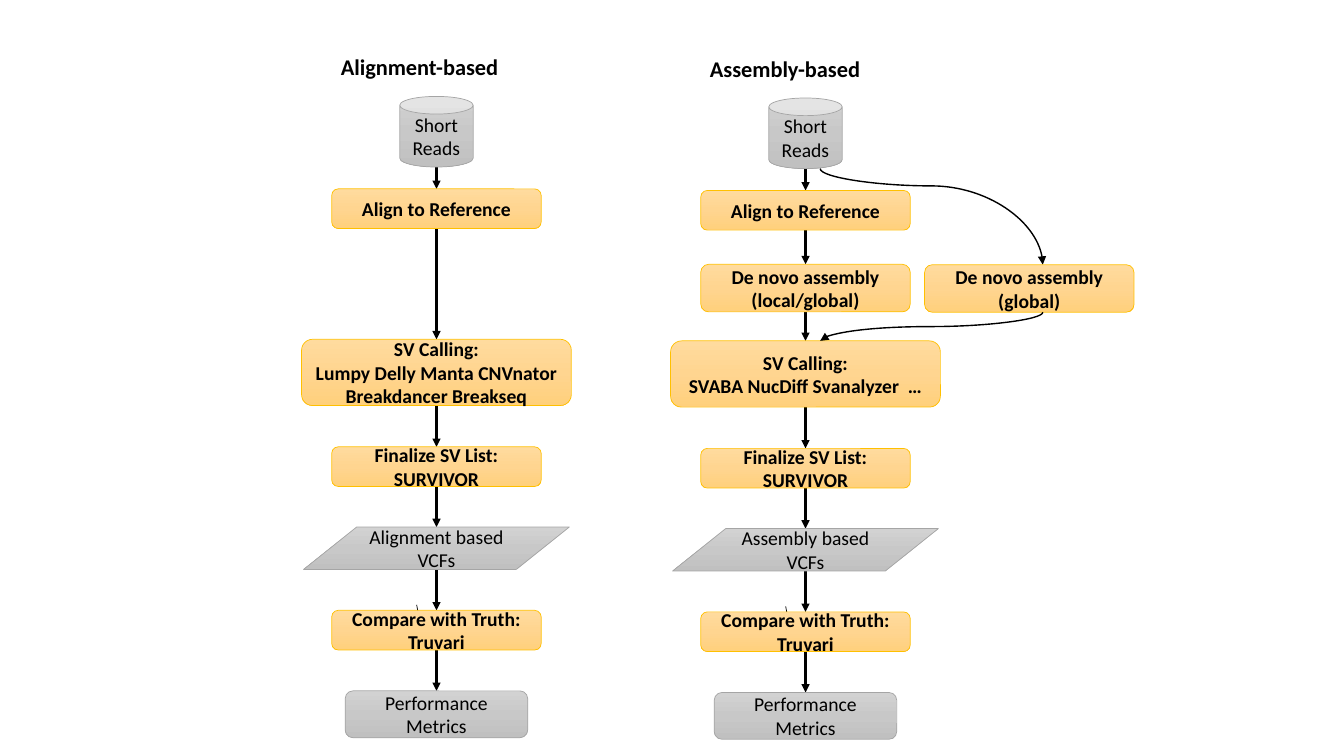
"""Builds a slide with two structural variant calling workflows side by side."""
from copy import deepcopy

from pptx import Presentation
from pptx.dml.color import RGBColor
from pptx.enum.shapes import MSO_CONNECTOR as LINE, MSO_SHAPE as SHAPE
from pptx.enum.text import MSO_ANCHOR, PP_ALIGN
from pptx.oxml.ns import qn
from pptx.oxml.xmlchemy import OxmlElement
from pptx.util import Cm, Pt

BLACK = RGBColor(0x00, 0x00, 0x00)
GREY_EDGE = RGBColor(0xA5, 0xA5, 0xA5)
GOLD_EDGE = RGBColor(0xFF, 0xC0, 0x00)
GREYS = [RGBColor(0xD2, 0xD2, 0xD2), RGBColor(0xC8, 0xC8, 0xC8), RGBColor(0xC0, 0xC0, 0xC0)]
GOLDS = [RGBColor(0xFF, 0xDB, 0x9E), RGBColor(0xFF, 0xD5, 0x90), RGBColor(0xFF, 0xD0, 0x7C)]

STEP_W, STEP_H = 5.28, 1.0
ALIGN_X, ASSEMBLY_X, GLOBAL_X = 11.0, 20.3, 25.94
ASSEMBLY_SHIFT = 0.04
CURVE_LEFT, CURVE_RIGHT = 20.67, 26.28


class Flow:
    font = "Calibri"

    def __init__(self, prs):
        self.slide = prs.slides.add_slide(prs.slide_layouts[6])
        self.shapes = self.slide.shapes

    def label(self, tf, text, size, bold, align):
        tf.text = text
        for p in tf.paragraphs:
            p.alignment = align
            p.font.name, p.font.size = self.font, Pt(size)
            p.font.bold, p.font.color.rgb = bold, BLACK

    def heading(self, x, y, w, text):
        tf = self.shapes.add_textbox(Cm(x), Cm(y), Cm(w), Cm(0.94)).text_frame
        tf.word_wrap = False
        self.label(tf, text, 16, True, PP_ALIGN.LEFT)

    def box(self, kind, cx, y, w, h, text):
        sp = self.shapes.add_shape(kind, Cm(cx - w / 2), Cm(y), Cm(w), Cm(h))
        is_step = kind == SHAPE.ROUNDED_RECTANGLE
        sp.shadow.inherit = False
        sp.fill.gradient()
        sp.fill.gradient_angle = 270
        stops = sp._element.spPr.find(".//" + qn("a:gsLst"))
        stops.insert(1, deepcopy(stops[0]))
        for i, stop in enumerate(sp.fill.gradient_stops):
            stop.position = i / 2
            stop.color.rgb = (GOLDS if is_step else GREYS)[i]
        sp.line.color.rgb = GOLD_EDGE if is_step else GREY_EDGE
        sp.line.width = Pt(0.5)
        sp.text_frame.vertical_anchor = MSO_ANCHOR.MIDDLE
        self.label(sp.text_frame, text, 14, is_step, PP_ALIGN.CENTER)

    def arrow(self, x1, y1, x2, y2, width=1.5, kind=LINE.STRAIGHT):
        c = self.shapes.add_connector(kind, Cm(x1), Cm(y1), Cm(x2), Cm(y2))
        c.line.color.rgb, c.line.width = BLACK, Pt(width)
        tail = OxmlElement("a:tailEnd")
        tail.set("type", "triangle")
        spPr = c._element.spPr
        spPr.find(qn("a:ln")).append(tail)
        spPr.append(OxmlElement("a:effectLst"))
        return c

    def curve(self, x1, y1, x2, y2, bend):
        w, h = y2 - y1, abs(x2 - x1)
        left, top = (x1 + x2 - w) / 2, (y1 + y2 - h) / 2
        ends, turn = (left, left + w), 90
        if x2 > x1:
            ends, turn = ends[::-1], 270
        c = self.arrow(ends[0], top, ends[1], top + h, 1, LINE.CURVE)
        spPr = c._element.spPr
        spPr.find(qn("a:xfrm")).set("rot", str(turn * 60000))
        geom = spPr.find(qn("a:prstGeom"))
        av = geom.find(qn("a:avLst"))
        if av is None:
            av = OxmlElement("a:avLst")
            geom.append(av)
        gd = OxmlElement("a:gd")
        gd.set("name", "adj1")
        gd.set("fmla", f"val {round(bend * 100000)}")
        av.append(gd)

    def column(self, cx, dy, title, title_w, stages):
        self.heading(cx - 2.66, 1.22 + dy, title_w, title)
        self.arrow(cx - 0.5, 15.24 + dy, cx - 0.32, 16.2 + dy, 0.5)
        for (_, y, _, h, _), (_, end, *_) in zip(stages, stages[1:]):
            self.arrow(cx, y + h + dy, cx, end + dy)
        for kind, y, w, h, text in stages:
            self.box(kind, cx, y + dy, w, h, text)


def step(y, text, w=STEP_W, h=STEP_H):
    return SHAPE.ROUNDED_RECTANGLE, y, w, h, text


def stages(callers, source, extra=()):
    return [
        (SHAPE.CAN, 2.43, 1.85, 1.78, "Short Reads"),
        step(4.76, "Align to Reference"),
        *extra,
        step(8.55, "SV Calling:\n" + callers, 6.8, 1.67),
        step(11.26, "Finalize SV List:\nSURVIVOR"),
        (SHAPE.FLOWCHART_DATA, 13.28, 6.7, 1.07, f"{source} based VCFs"),
        step(15.38, "Compare with Truth:\nTruvari"),
        (SHAPE.FLOWCHART_ALTERNATE_PROCESS, 17.41, 4.6, 1.18, "Performance Metrics"),
    ]


prs = Presentation()
prs.slide_width, prs.slide_height = Cm(33.87), Cm(19.05)
flow = Flow(prs)
flow.column(ALIGN_X, 0, "Alignment-based", 4.55,
            stages("Lumpy Delly Manta CNVnator Breakdancer Breakseq", "Alignment"))
assembly = step(6.62, "De novo assembly\n(local/global)", h=1.2)
flow.column(ASSEMBLY_X, ASSEMBLY_SHIFT, "Assembly-based", 4.37,
            stages("SVABA NucDiff Svanalyzer  …", "Assembly", [assembly]))
flow.curve(CURVE_LEFT, 4.25, CURVE_RIGHT, 6.67, 0.18)
flow.box(SHAPE.ROUNDED_RECTANGLE, GLOBAL_X, 6.67, STEP_W, 1.2, "De novo assembly (global)")
flow.curve(CURVE_RIGHT, 7.87, CURVE_LEFT, 8.59, 0.5)
prs.save("out.pptx")
